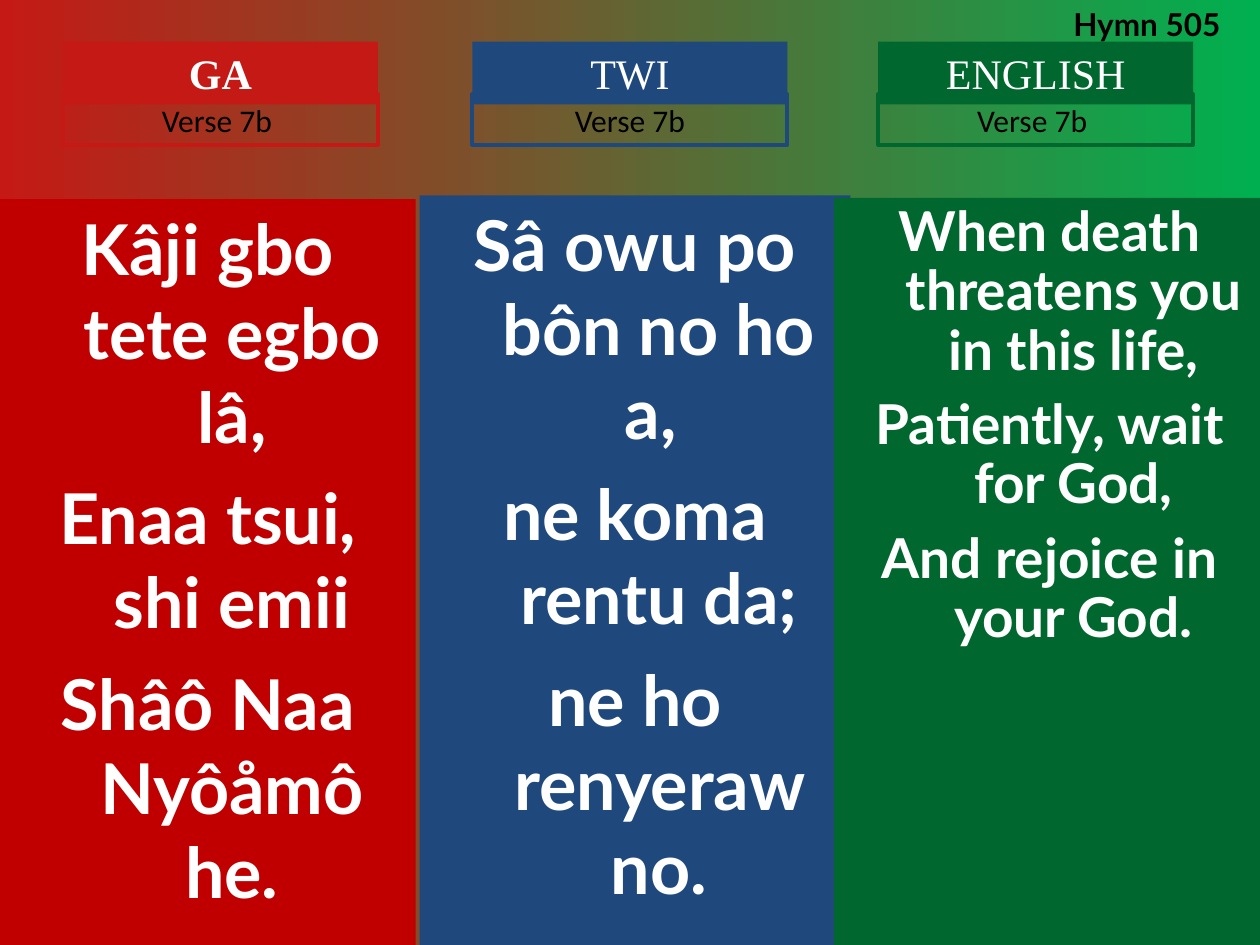
"""Build a hymn slide with one verse in three languages, a column for each."""
from dataclasses import dataclass

from lxml.etree import SubElement
from pptx import Presentation
from pptx.dml.color import RGBColor as Color
from pptx.enum.shapes import MSO_SHAPE as Shape
from pptx.enum.text import MSO_ANCHOR as Anchor, MSO_AUTO_SIZE as Fit, PP_ALIGN as Align
from pptx.util import Inches, Pt


@dataclass(frozen=True)
class Theme:
    red: str = "C51915"
    deep_red: str = "C00000"
    blue: str = "1F497D"
    green: str = "00682F"
    bright_green: str = "00B050"
    white: str = "FFFFFF"
    black: str = "000000"
    verse_font: str = "Lato"
    title_font: str = "Times New Roman"
    label_font: str = "Calibri"
    title_size: float = 24
    label_size: float = 18
    border: float = 2.25


theme = Theme()
WIDTH, HEIGHT = 10, 7.5
HANGING = Inches(0.38)
TITLE_TOP, LABEL_TOP = 0.33, 0.75
TITLE_WIDTH, TITLE_HEIGHT, LABEL_HEIGHT = WIDTH / 4, HEIGHT / 15, 0.4

deck = Presentation()
deck.slide_width, deck.slide_height = Inches(WIDTH), Inches(HEIGHT)
page = deck.slides.add_slide(deck.slide_layouts[6])
backdrop = page.background.fill
backdrop.gradient()
backdrop.gradient_angle = 0
for stop, color in zip(backdrop.gradient_stops, (theme.red, theme.bright_green)):
    stop.color.rgb = Color.from_string(color)


def add_box(left, top, width, height, fill=None, line=None):
    box = page.shapes.add_shape(Shape.RECTANGLE, *map(Inches, (left, top, width, height)))
    box.shadow.inherit = False
    if fill:
        box.fill.solid()
        box.fill.fore_color.rgb = Color.from_string(fill)
    else:
        box.fill.background()
    if line:
        box.line.color.rgb = Color.from_string(line)
        box.line.width = Pt(theme.border)
    else:
        box.line.fill.background()
    box.text_frame.word_wrap = True
    box.text_frame.vertical_anchor = Anchor.TOP
    return box


def write(box, lines, font, size, color, bold=False, align=Align.CENTER):
    frame = box.text_frame
    for index, line in enumerate(lines):
        para = frame.add_paragraph() if index else frame.paragraphs[0]
        para.alignment = align
        span = para.add_run()
        span.text = line
        span.font.name, span.font.size, span.font.bold = font, Pt(size), bold
        span.font.color.rgb = Color.from_string(color)
    return frame


# title, bold title, label, accent, panel fill, title left, panel (left, top, width), size, gap, spacing, verse
columns = (
    ("GA", True, "Verse 7b ", theme.red, theme.deep_red, 0.5, (0, 1.58, 3.3), 40, 10, None,
     ("Kâji gbo tete egbo lâ,", "Enaa tsui, shi emii", "Shâô Naa Nyôåmô he.")),
    ("TWI", False, "Verse 7b", theme.blue, theme.blue, 3.75, (3.33, 1.55, 3.42), 40, 10, None,
     ("Sâ owu po bôn no ho a, ", "ne koma rentu da;", "ne ho renyeraw no.")),
    ("ENGLISH", False, "Verse 7b ", theme.green, theme.green, 6.97, (6.62, 1.57, 3.42), 31.4, 8.5, 0.9,
     ("When death threatens you in this life,", "Patiently, wait for God,",
      "And rejoice in your God.")),
)

for title, bold, label, accent, fill, title_left, panel, size, gap, spacing, verse in columns:
    left, top, width = panel
    panel_box = add_box(left, top, width, min(HEIGHT - top, 5.95), fill=fill)
    frame = write(panel_box, verse, theme.verse_font, size, theme.white, bold=True)
    for index, para in enumerate(frame.paragraphs):
        if spacing:
            para.line_spacing = spacing
        if index:
            para.space_before = Pt(gap)
        props = para._p.get_or_add_pPr()
        props.set("marL", str(HANGING))
        props.set("indent", str(-HANGING))

    title_box = add_box(title_left, TITLE_TOP, TITLE_WIDTH, TITLE_HEIGHT, fill=accent)
    write(title_box, [title], theme.title_font, theme.title_size, theme.white, bold)
    label_box = add_box(title_left, LABEL_TOP, TITLE_WIDTH, LABEL_HEIGHT, line=accent)
    write(label_box, [label], theme.label_font, theme.label_size, theme.black)
    for box in (title_box, label_box):
        box.text_frame.auto_size = Fit.SHAPE_TO_FIT_TEXT

hymn_box = page.shapes.add_textbox(*map(Inches, (8.42, -0.01, 1.5, LABEL_HEIGHT)))
hymn_box.text_frame.word_wrap = True
hymn_box.text_frame.auto_size = Fit.SHAPE_TO_FIT_TEXT
write(hymn_box, ["Hymn 505"], theme.verse_font, theme.label_size, theme.black, True, Align.LEFT)

deck.save("out.pptx")
